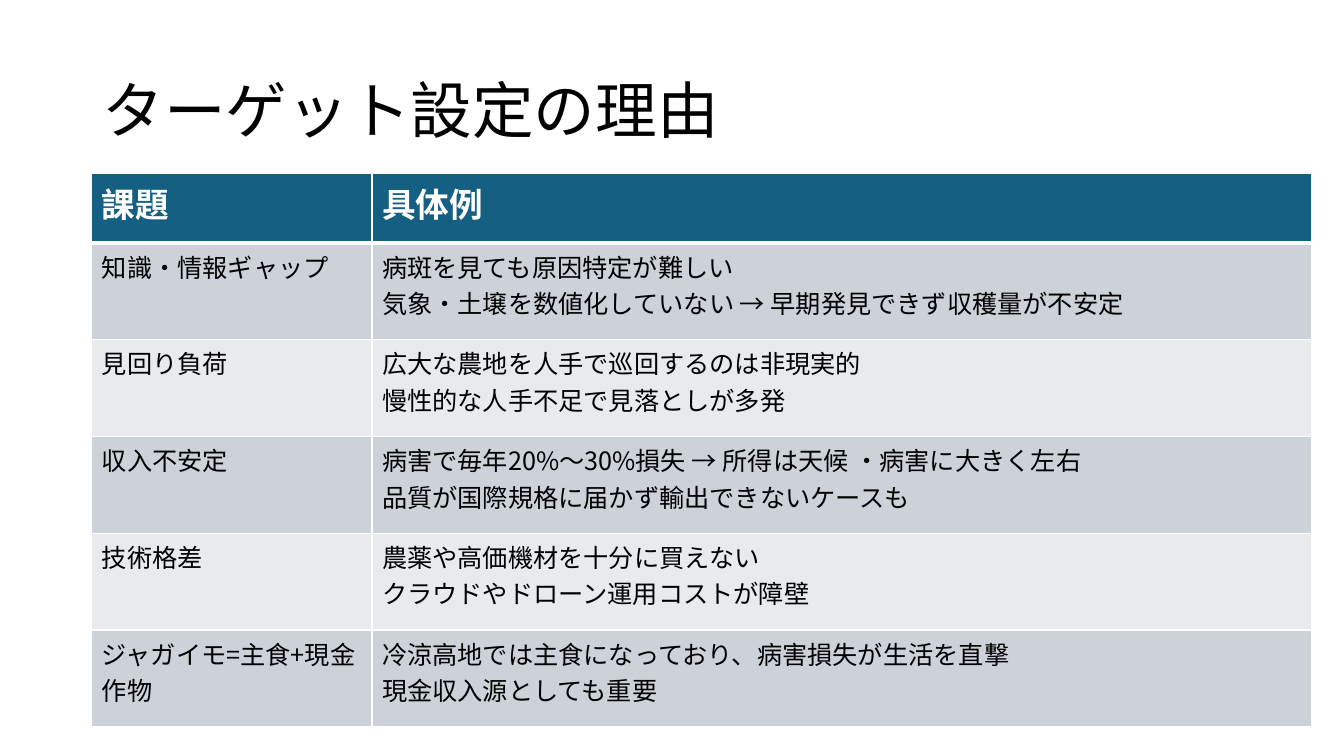
from lxml.etree import SubElement
from pptx import Presentation
from pptx.dml.color import RGBColor
from pptx.enum.text import MSO_ANCHOR
from pptx.oxml.ns import qn
from pptx.util import Inches, Pt

COLORS = {"white": "FFFFFF", "black": "000000", "header": "156082",
          "odd": "CCD2D8", "even": "E8EAED"}
TITLE = {"name": "Roboto", "size": Pt(44), "bold": False}
HEADER = {"name": "Noto Sans CJK JP", "size": Pt(24), "bold": True}
BODY = {"name": "Noto Sans CJK JP", "size": Pt(18), "bold": False}

COL_WIDTHS = [2.78, 9.32]
HEADER_HEIGHT, ROW_HEIGHT = 0.69, 0.96
# Each item of a cell is a paragraph; \v is a line break inside one.
ROWS = [
    (["課題"], ["具体例"]),
    (["知識・情報ギャップ"],
     ["病斑を見ても原因特定が難しい",
      "気象・土壌を数値化していない → 早期発見できず収穫量が不安定"]),
    (["見回り負荷"],
     ["広大な農地を人手で巡回するのは非現実的\v慢性的な人手不足で見落としが多発"]),
    (["収入不安定"],
     ["病害で毎年20%～30%損失 → 所得は天候 ・病害に大きく左右",
      "品質が国際規格に届かず輸出できないケースも"]),
    (["技術格差"],
     ["農薬や高価機材を十分に買えない",
      "クラウドやドローン運用コストが障壁"]),
    (["ジャガイモ=主食+現金作物"],
     ["冷涼高地では主食になっており、病害損失が生活を直撃",
      "現金収入源としても重要"]),
]


def rgb(name):
    return RGBColor.from_string(COLORS[name])


def write(tf, lines, style, color):
    for i, line in enumerate(lines):
        p = tf.paragraphs[0] if i == 0 else tf.add_paragraph()
        p.text = line
        for r in p.runs:
            for key, value in style.items():
                setattr(r.font, key, value)
            r.font.color.rgb = rgb(color)
            ea = SubElement(r.font._element, qn("a:ea"))
            ea.set("typeface", BODY["name"])


def set_borders(cell, bottom):
    """White 1 pt borders, with the bottom one of the given width."""
    tcPr = cell._tc.get_or_add_tcPr()
    for side, width in {"L": 1, "R": 1, "T": 1, "B": bottom}.items():
        ln = SubElement(tcPr, qn(f"a:ln{side}"), w=str(Pt(width)))
        fill = SubElement(ln, qn("a:solidFill"))
        SubElement(fill, qn("a:srgbClr"), val=COLORS["white"])


def add_title(slide, x, y, w, h):
    s = slide.shapes.add_textbox(Inches(x), Inches(y), Inches(w), Inches(h))
    tf = s.text_frame
    tf.word_wrap = True
    tf.vertical_anchor = MSO_ANCHOR.MIDDLE
    write(tf, ["ターゲット設定の理由"], TITLE, "black")
    tf.paragraphs[0].line_spacing = 0.9


def add_reasons(slide, x, y, w, h):
    table = slide.shapes.add_table(len(ROWS), len(COL_WIDTHS), Inches(x),
                                   Inches(y), Inches(w), Inches(h)).table
    for col, width in zip(table.columns, COL_WIDTHS):
        col.width = Inches(width)
    for i, row in enumerate(ROWS):
        is_header = i == 0
        table.rows[i].height = Inches(HEADER_HEIGHT if is_header else ROW_HEIGHT)
        fill = "header" if is_header else "odd" if i % 2 else "even"
        for j, lines in enumerate(row):
            cell = table.cell(i, j)
            set_borders(cell, 3 if is_header else 1)
            cell.fill.solid()
            cell.fill.fore_color.rgb = rgb(fill)
            write(cell.text_frame, lines, HEADER if is_header else BODY,
                  "white" if is_header else "black")


def main():
    prs = Presentation()
    prs.slide_width, prs.slide_height = Inches(13.33), Inches(7.5)
    slide = prs.slides.add_slide(prs.slide_layouts[6])
    add_title(slide, 0.92, 0.4, 11.5, 1.45)
    add_reasons(slide, 0.91, 1.72, 12.1, 5.49)
    prs.save("out.pptx")


if __name__ == "__main__":
    main()
